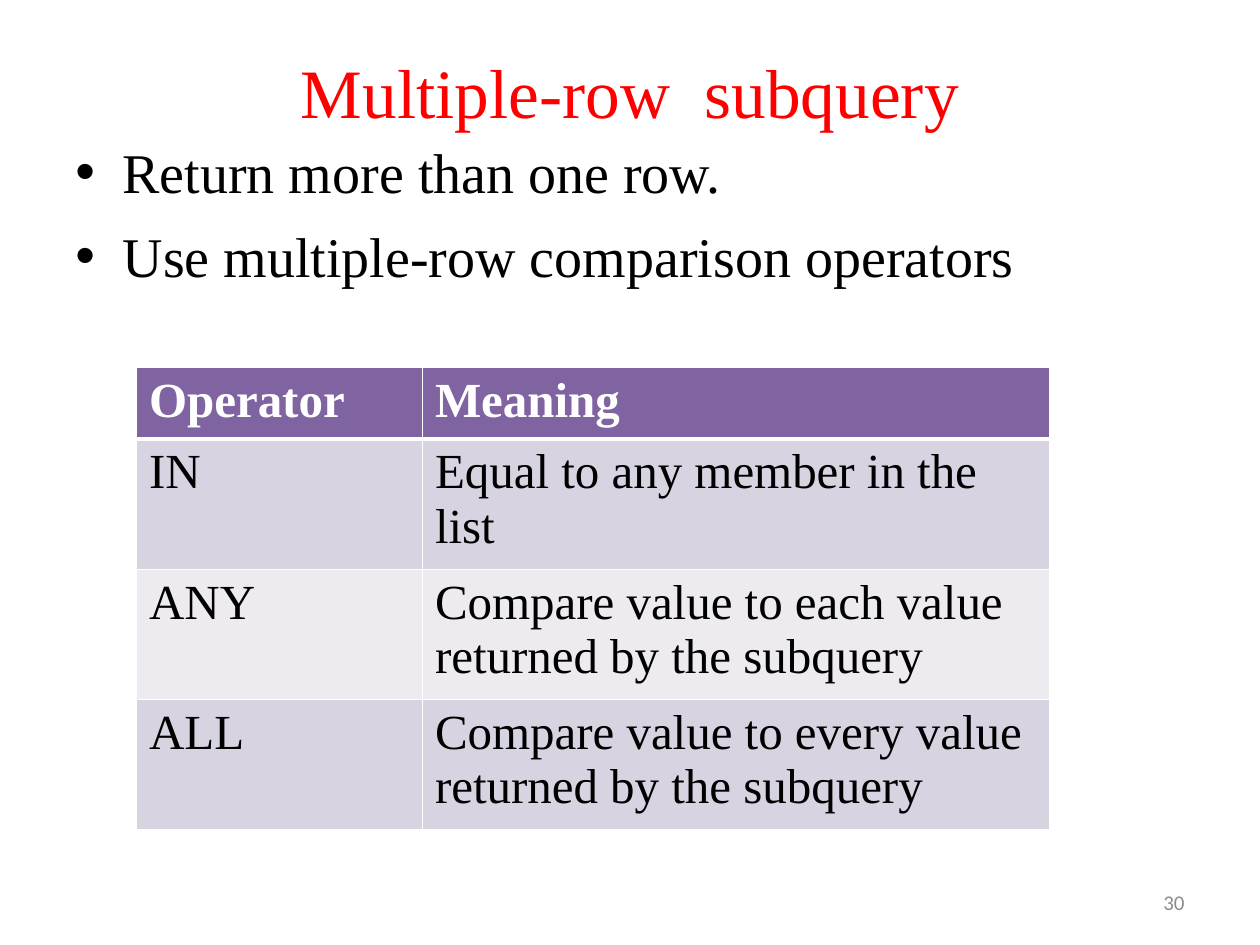
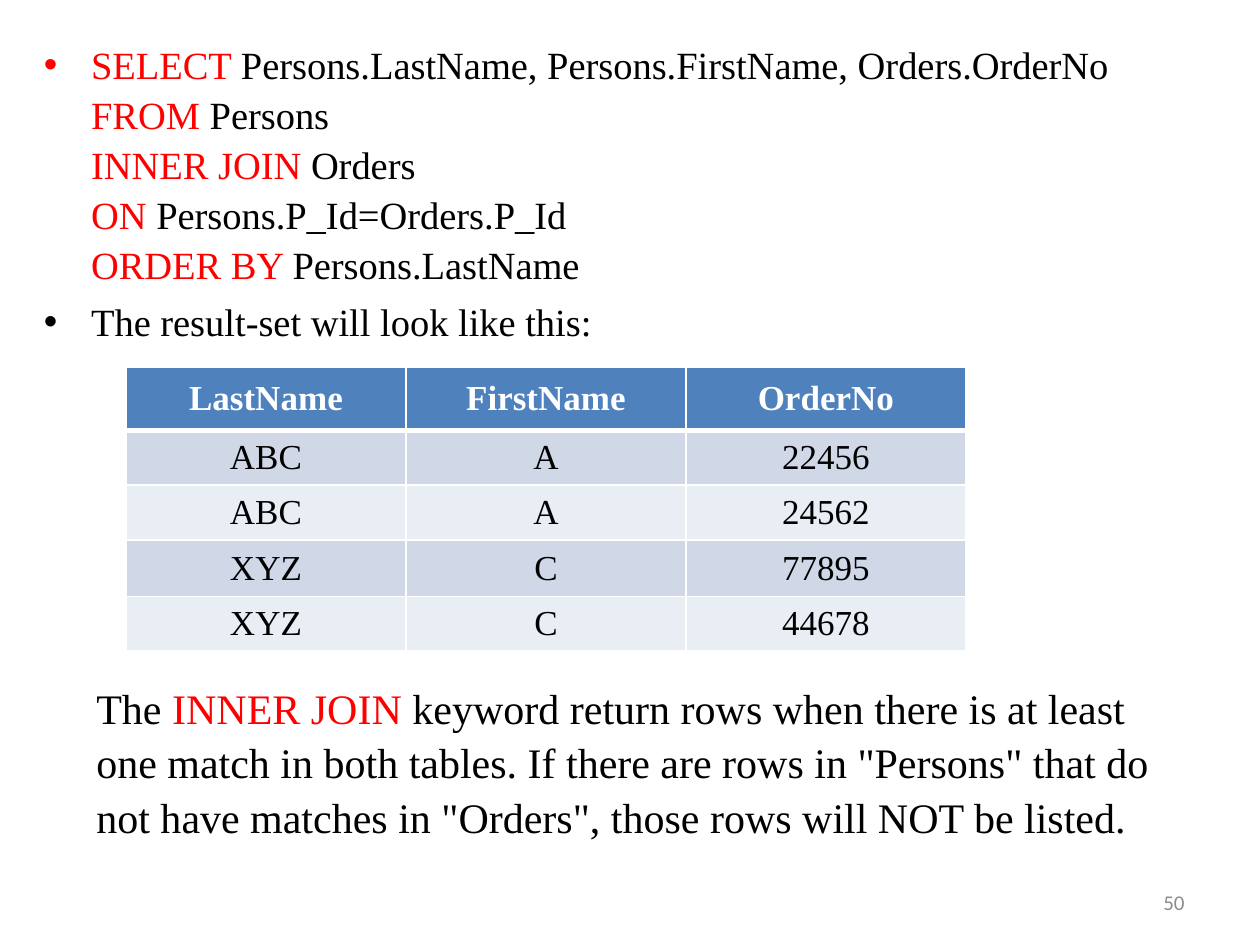
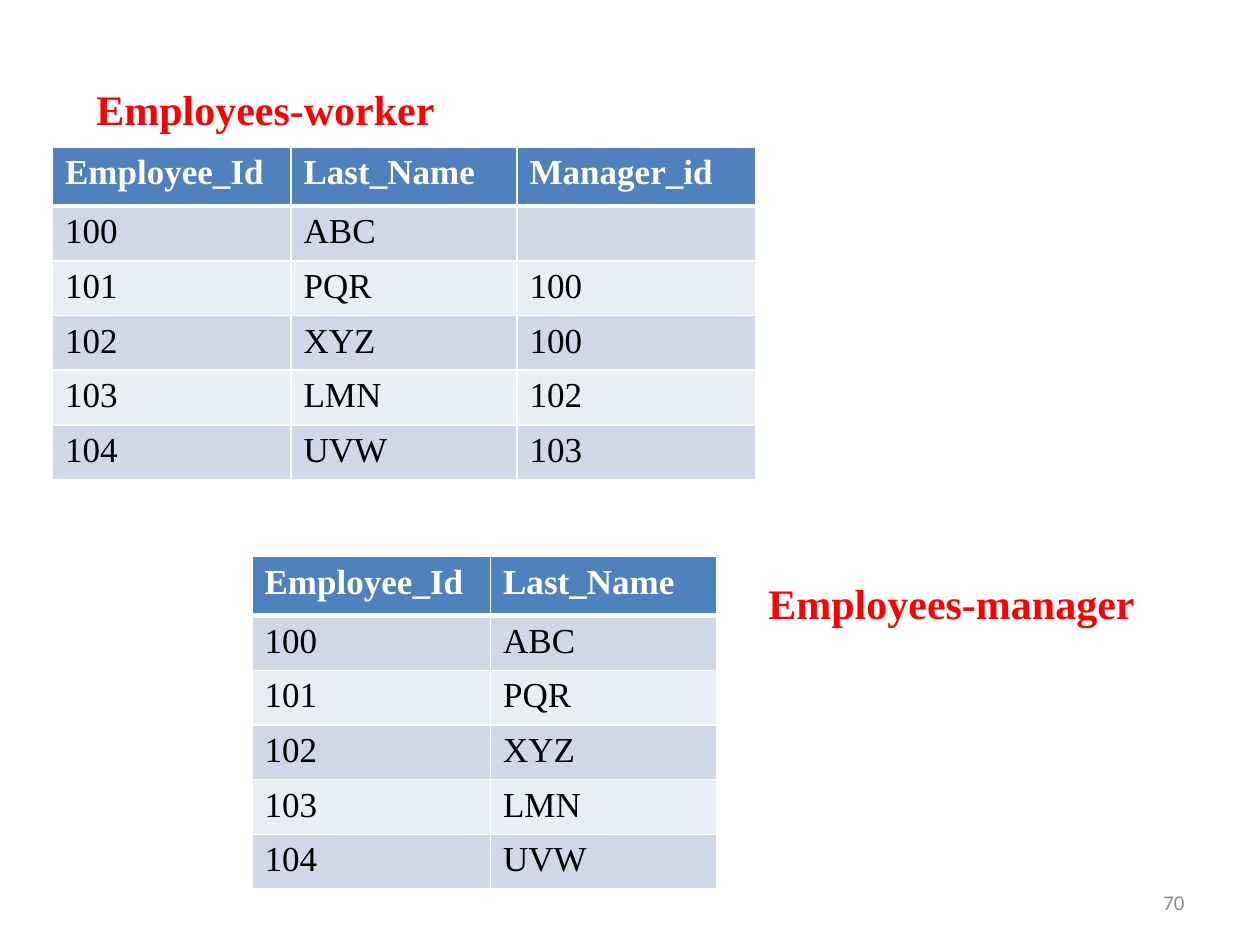
from dataclasses import dataclass

from lxml.etree import SubElement
from pptx import Presentation
from pptx.dml.color import RGBColor
from pptx.enum.text import MSO_ANCHOR, PP_ALIGN
from pptx.oxml.ns import qn
from pptx.util import Pt

RED, BLACK, WHITE, GREY = "FF0000", "000000", "FFFFFF", "8C8C8C"
SERIF, SANS = "Times New Roman", "Calibri"
LEAD = 1.08  # line spacing of running text
LINE = 29.34  # height of a one-line table row at 20 pt
TITLE_ONLY, BLANK = 5, 6

Span = tuple[str, str]  # text, colour
Lines = list[list[Span]]  # one paragraph, split at line breaks


@dataclass
class Box:
    left: float
    top: float
    width: float
    height: float

    def place(self) -> list[Pt]:
        return [Pt(v) for v in (self.left, self.top, self.width, self.height)]


@dataclass
class Block:
    box: Box
    paras: list[Lines]
    size: float
    bold: bool = False
    bullet: bool = False
    font: str = SERIF
    align: PP_ALIGN = PP_ALIGN.LEFT
    anchor: MSO_ANCHOR = MSO_ANCHOR.TOP


@dataclass
class Theme:
    head: str
    odd: str
    even: str


@dataclass
class Grid:
    left: float
    top: float
    cols: list[float]
    heights: list[float]
    rows: list[list[str]]
    theme: Theme
    size: float = 20
    align: PP_ALIGN = PP_ALIGN.LEFT
    anchor: MSO_ANCHOR = MSO_ANCHOR.TOP


VIOLET = Theme("8064A2", "D8D3E0", "EDEAF0")
BLUE = Theme("4F81BD", "D0D8E8", "E9EDF4")


def paint(target, tint: str) -> None:
    """Set the colour of a font or the solid fill of a cell."""
    if hasattr(target, "solid"):
        target.solid()
        target.fore_color.rgb = RGBColor.from_string(tint)
    else:
        target.color.rgb = RGBColor.from_string(tint)


def style(font, tint: str, **values) -> None:
    for name, value in values.items():
        setattr(font, name, value)
    paint(font, tint)


def mark(para) -> None:
    """Give a paragraph a hanging bullet."""
    props = para._p.get_or_add_pPr()
    props.set("marL", str(Pt(27)))
    props.set("indent", str(Pt(-27)))
    SubElement(props, qn("a:buFont")).set("typeface", "Arial")
    SubElement(props, qn("a:buChar")).set("char", "•")


def write(shape, block: Block) -> None:
    frame = shape.text_frame
    frame.word_wrap = True
    frame.vertical_anchor = block.anchor
    for i, lines in enumerate(block.paras):
        para = frame.add_paragraph() if i else frame.paragraphs[0]
        if block.bullet:
            mark(para)
        para.alignment = block.align
        para.line_spacing = LEAD
        if i:
            para.space_before = Pt(0.2 * block.size)
        for j, spans in enumerate(lines):
            if j:
                para.add_line_break()
            for text, tint in spans:
                run = para.add_run()
                run.text = text
                style(run.font, tint, name=block.font, size=Pt(block.size), bold=block.bold)


def add_text(slide, block: Block) -> None:
    write(slide.shapes.add_textbox(*block.box.place()), block)


def add_title(slide, text: str) -> None:
    shape = slide.shapes.title
    box = Box(36, 21.6, 648, 56.2)
    for name, value in zip(("left", "top", "width", "height"), box.place()):
        setattr(shape, name, value)
    write(shape, Block(box, [[[(text, RED)]]], 39.6,
                       align=PP_ALIGN.CENTER, anchor=MSO_ANCHOR.MIDDLE))


def add_number(slide, number: int) -> None:
    add_text(slide, Block(Box(516, 500.5, 168, 28.75), [[[(str(number), GREY)]]], 12,
                          font=SANS, align=PP_ALIGN.RIGHT, anchor=MSO_ANCHOR.MIDDLE))


def edge(cell, row: int) -> None:
    """Draw white borders, with a thick rule under the header."""
    props = cell._tc.get_or_add_tcPr()
    widths = {"lnL": 1, "lnR": 1, "lnT": 3 if row == 1 else 1, "lnB": 3 if row == 0 else 1}
    for side, width in widths.items():
        line = SubElement(props, qn(f"a:{side}"), w=str(Pt(width)))
        SubElement(SubElement(line, qn("a:solidFill")), qn("a:srgbClr")).set("val", WHITE)


def add_grid(slide, grid: Grid) -> None:
    box = Box(grid.left, grid.top, sum(grid.cols), sum(grid.heights))
    table = slide.shapes.add_table(len(grid.rows), len(grid.cols), *box.place()).table
    for col, width in zip(table.columns, grid.cols):
        col.width = Pt(width)
    for row, height in zip(table.rows, grid.heights):
        row.height = Pt(height)
    for r, texts in enumerate(grid.rows):
        head = r == 0
        fill = grid.theme.head if head else grid.theme.odd if r % 2 else grid.theme.even
        for c, text in enumerate(texts):
            cell = table.cell(r, c)
            edge(cell, r)
            paint(cell.fill, fill)
            cell.vertical_anchor = grid.anchor
            para = cell.text_frame.paragraphs[0]
            para.alignment = grid.align
            if text:
                run = para.add_run()
                run.text = text
                style(run.font, WHITE if head else BLACK,
                      name=SERIF, size=Pt(grid.size), bold=head)


def new_slide(deck, layout: int, number: int):
    slide = deck.slides.add_slide(deck.slide_layouts[layout])
    add_number(slide, number)
    return slide


def row_slide(deck) -> None:
    slide = new_slide(deck, TITLE_ONLY, 30)
    add_title(slide, "Multiple-row  subquery")
    add_text(slide, Block(Box(36, 72, 648, 410.4), [
        [[("Return more than one row.", BLACK)]],
        [[("Use multiple-row comparison operators", BLACK)]],
    ], 32, bullet=True))
    add_grid(slide, Grid(78, 210, [163.4, 358.6], [38.2] + [69.2] * 3, [
        ["Operator", "Meaning"],
        ["IN", "Equal to any member in the list"],
        ["ANY", "Compare value to each value returned by the subquery"],
        ["ALL", "Compare value to every value returned by the subquery"],
    ], VIOLET, 28))


def join_slide(deck) -> None:
    slide = new_slide(deck, BLANK, 50)
    query = [
        ("SELECT ", "Persons.LastName, Persons.FirstName, Orders.OrderNo"),
        ("FROM ", "Persons"),
        ("INNER JOIN ", "Orders"),
        ("ON ", "Persons.P_Id=Orders.P_Id"),
        ("ORDER BY ", "Persons.LastName"),
    ]
    add_text(slide, Block(Box(18, 18, 690, 510), [
        [[(key, RED), (rest, BLACK)] for key, rest in query],
        [[("The result-set will look like this:", BLACK)]],
    ], 22, bullet=True))
    add_grid(slide, Grid(72, 210, [160] * 3, [36, LINE, LINE, 32.4, LINE], [
        ["LastName", "FirstName", "OrderNo"],
        ["ABC", "A", "22456"],
        ["ABC", "A", "24562"],
        ["XYZ", "C", "77895"],
        ["XYZ", "C", "44678"],
    ], BLUE, align=PP_ALIGN.CENTER, anchor=MSO_ANCHOR.MIDDLE))
    add_text(slide, Block(Box(48, 384, 618, 94.3), [[[
        ("The ", BLACK),
        ("INNER JOIN ", RED),
        ("keyword return rows when there is at least one match in both tables. "
         'If there are rows in "Persons" that do not have matches in "Orders", '
         "those rows will NOT be listed.", BLACK),
    ]]], 24))


def staff_slide(deck) -> None:
    slide = new_slide(deck, BLANK, 70)
    staff = [
        ["Employee_Id", "Last_Name", "Manager_id"],
        ["100", "ABC", ""],
        ["101", "PQR", "100"],
        ["102", "XYZ", "100"],
        ["103", "LMN", "102"],
        ["104", "UVW", "103"],
    ]
    cols = [136.3, 129.2, 136.3]
    add_grid(slide, Grid(30, 84, cols, [33.8] + [LINE] * 5, staff, BLUE))
    add_grid(slide, Grid(144, 318, cols[:2], [33.8] + [31.25] * 5,
                         [row[:2] for row in staff], BLUE))
    for text, box in (("Employees-worker", Box(48, 42, 294, 36)),
                      ("Employees-manager", Box(432, 324, 270, 36))):
        add_text(slide, Block(box, [[[(text, RED)]]], 24, bold=True))


def main() -> None:
    deck = Presentation()
    deck.slide_width, deck.slide_height = Pt(720), Pt(540)
    for build in (row_slide, join_slide, staff_slide):
        build(deck)
    deck.save("out.pptx")


if __name__ == "__main__":
    main()
